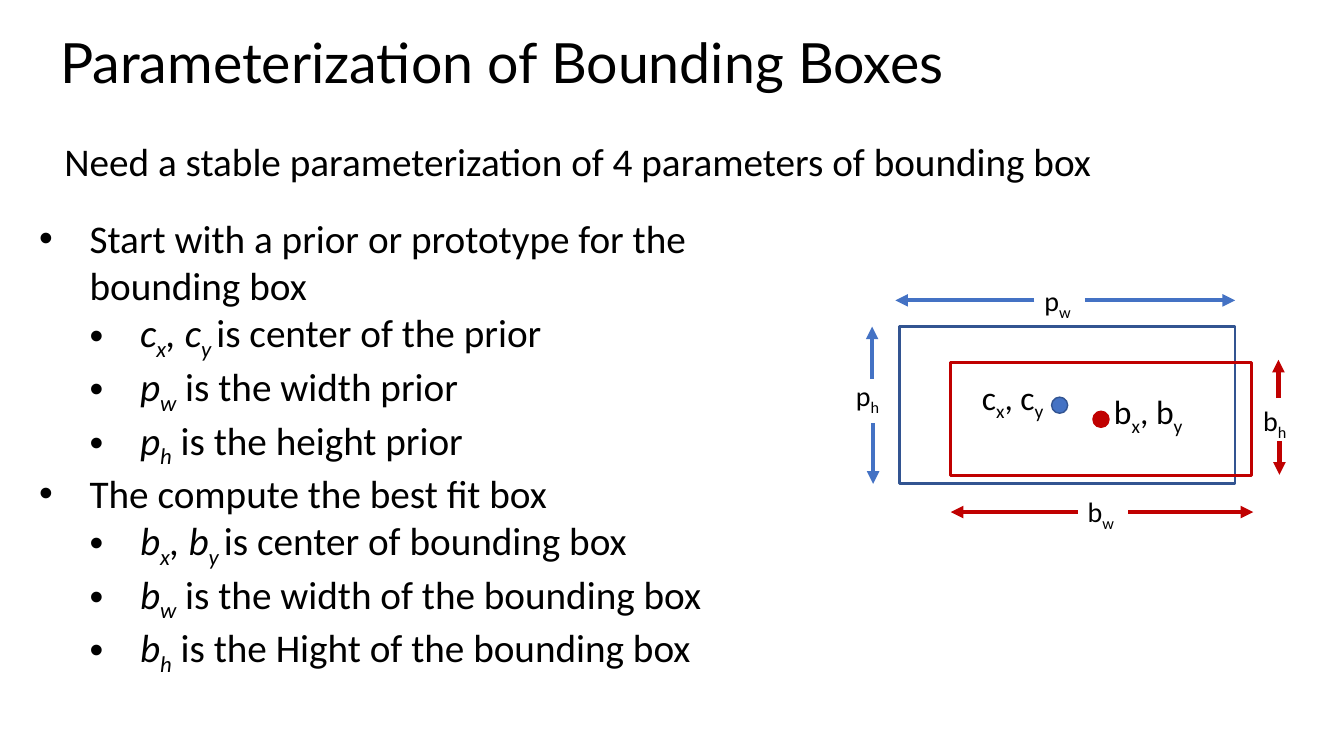
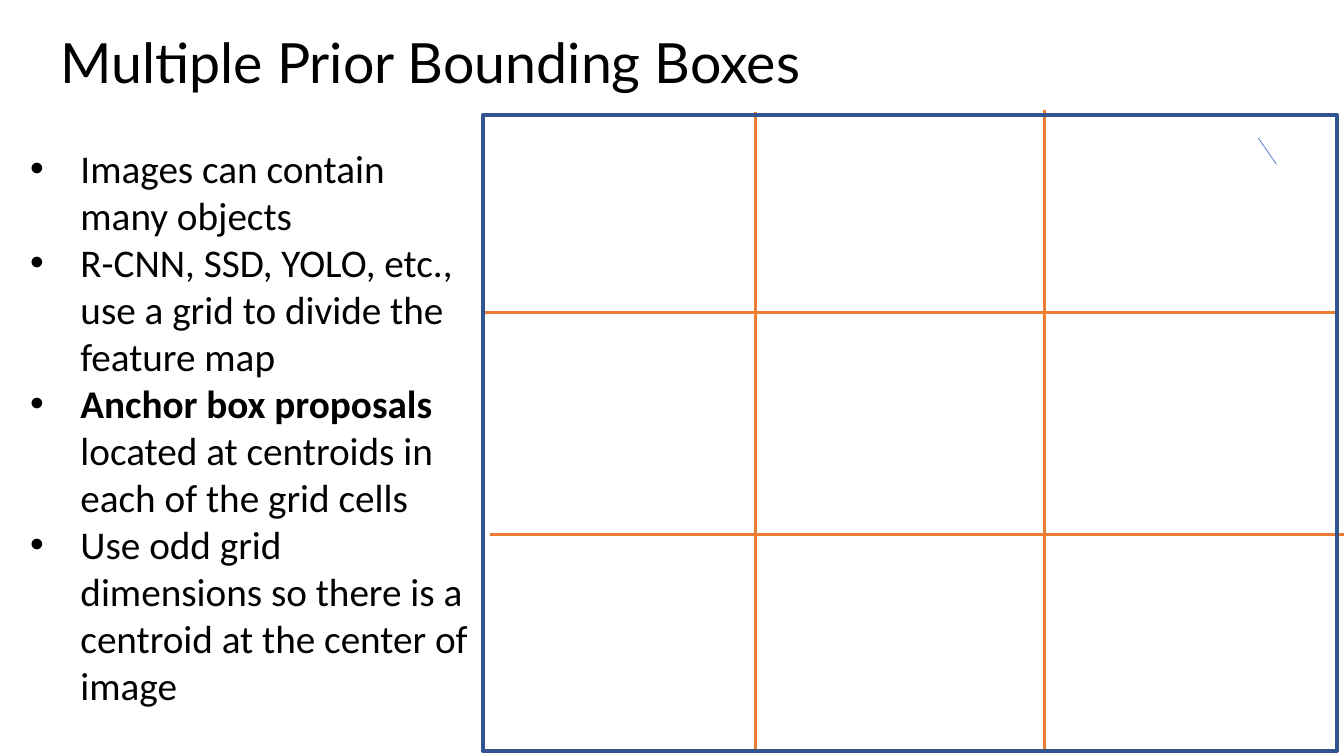
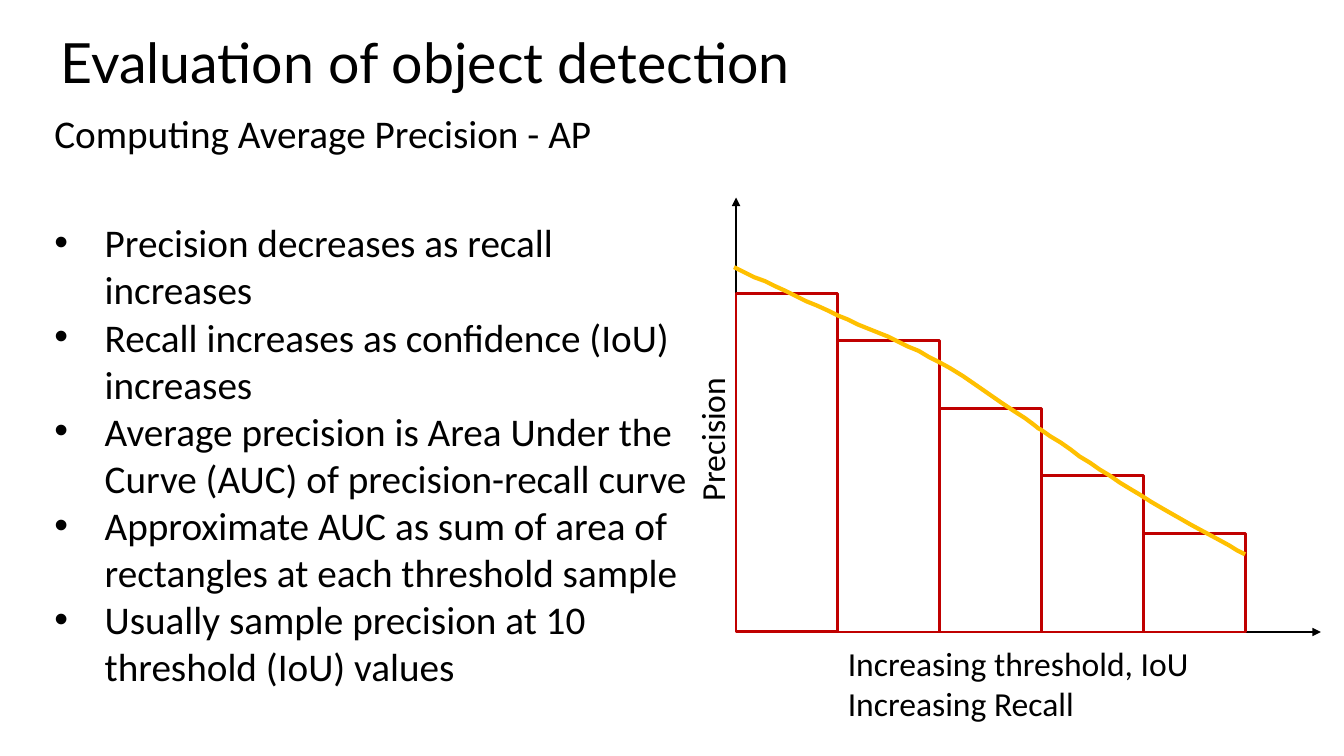
"""Build three slides on bounding boxes, anchor grids and average precision."""
from pptx import Presentation
from pptx import util as u
from pptx.dml.color import RGBColor
from pptx.enum import shapes, text
from pptx.oxml.ns import qn
from lxml import etree

PX = 9144
BLACK = RGBColor(0x00, 0x00, 0x00)
BLUE = RGBColor(0x44, 0x72, 0xC4)
NAVY = RGBColor(0x32, 0x54, 0x91)
RED = RGBColor(0xC0, 0x00, 0x00)
ORANGE = RGBColor(0xED, 0x7D, 0x31)
GOLD = RGBColor(0xFF, 0xC0, 0x00)
RECT = shapes.MSO_SHAPE.RECTANGLE
OVAL = shapes.MSO_SHAPE.OVAL
BODY, LABEL, SIZE_LABEL = 28, 24, 20

NEED = "Need a stable parameterization of 4 parameters of bounding box"
PARAMETERS = [
    (0, [("Start with a prior or prototype for the bounding box", "")]),
    (1, [("c~x~, c~y ~", "i"), ("is center of the prior", "")]),
    (1, [("p~w~", "i"), (" is the width prior", "")]),
    (1, [("p~h~", "i"), (" is the height prior", "")]),
    (0, [("The compute the best fit box", "")]),
    (1, [("b~x~, b~y ~", "i"), ("is center of bounding box", "")]),
    (1, [("b~w~", "i"), (" is the width of the bounding box", "")]),
    (1, [("b~h~", "i"), (" is the Hight of the bounding box", "")]),
]
BOXES = [
    (RECT, (892, 324, 333, 156), None, NAVY, 2),
    (OVAL, (1043, 394, 16, 16), BLUE, NAVY, 1),
    (RECT, (943, 360, 298, 112), None, RED, 2),
    (OVAL, (1084, 408, 16, 16), RED, RED, 1),
]
SYMBOLS = [
    ("c~x~, c~y~", (964, 369, 87, 50), LABEL),
    ("b~x~, b~y~", (1095, 383, 91, 50), LABEL),
    ("p~w~", (1026, 276, 50, 44), SIZE_LABEL),
    ("p~h~", (839, 371, 50, 44), SIZE_LABEL),
    ("b~w~", (1069, 486, 50, 44), SIZE_LABEL),
    ("b~h~", (1243, 395, 50, 44), SIZE_LABEL),
]
DIMENSIONS = [
    (BLUE, (1026, 298, 888, 298)), (BLUE, (1076, 298, 1225, 298)),
    (BLUE, (866, 420, 866, 480)), (BLUE, (865, 376, 865, 324)),
    (RED, (1069, 508, 943, 508)), (RED, (1119, 508, 1243, 508)),
    (RED, (1269, 438, 1269, 471)), (RED, (1268, 395, 1268, 357)),
]

ANCHORS = [
    (0, [("Images can contain many objects", "")]),
    (0, [("R-CNN, SSD, YOLO, etc., use a grid to divide the feature map", "")]),
    (0, [("Anchor box proposals ", "b"),
         ("located at centroids in each of the grid cells", "")]),
    (0, [("Use odd grid dimensions so there is a centroid at the center of image", "")]),
]
GRID_LINES = [(479, 310, 1327, 310), (486, 530, 1333, 530),
              (749, 745, 749, 111), (1036, 743, 1036, 109)]

PRECISION = [(0, [(line, "")]) for line in (
    "Precision decreases as recall increases",
    "Recall increases as confidence (IoU) increases",
    "Average precision is Area Under the Curve (AUC) of precision-recall curve",
    "Approximate AUC as sum of area of rectangles at each threshold sample",
    "Usually sample precision at 10 threshold (IoU) values",
)]
ORIGIN_X, ORIGIN_Y, BAR_WIDTH = 730, 627, 101
BAR_TOPS = [291, 338, 405, 472, 529]
CURVE_START = (728, 265)
CURVE_BENDS = [
    [(762, 281), (797, 297), (831, 313)],
    [(865, 328), (898, 340), (931, 359)],
    [(965, 378), (1032, 426), (1032, 426)],
    [(1065, 448), (1097, 471), (1131, 491)],
    [(1164, 512), (1235, 550), (1235, 550)],
]
BEND_STEPS = 10


def emu(lengths):
    return [length * PX for length in lengths]


def add_runs(paragraph, pieces, size, font="Calibri"):
    """Write pieces as runs, lowering the parts between tildes."""
    for words, style in pieces:
        for index, part in enumerate(words.split("~")):
            if not part:
                continue
            run = paragraph.add_run()
            run.text = part
            run.font.size = u.Pt(size)
            run.font.name = font
            run.font.color.rgb = BLACK
            if style:
                run.font.italic = "i" in style
                run.font.bold = "b" in style
            if index % 2:
                run.font._element.set("baseline", "-25000")


def add_text(slide, place, lines, size, font="Calibri", wrap=True):
    """Add a text box with one paragraph for each list of pieces."""
    box = slide.shapes.add_textbox(*emu(place))
    frame = box.text_frame
    frame.word_wrap = wrap
    for index, pieces in enumerate(lines):
        paragraph = frame.add_paragraph() if index else frame.paragraphs[0]
        add_runs(paragraph, pieces, size, font)
    return box


def add_bullets(slide, place, items):
    """Add a bulleted list with half-inch levels."""
    box = add_text(slide, place, [pieces for _, pieces in items], BODY)
    for (level, _), paragraph in zip(items, box.text_frame.paragraphs):
        paragraph.level = level
        properties = paragraph._p.get_or_add_pPr()
        properties.set("marL", str((level + 1) * 50 * PX))
        properties.set("indent", str(-50 * PX))
        etree.SubElement(properties, qn("a:buFont")).set("typeface", "Arial")
        etree.SubElement(properties, qn("a:buChar")).set("char", "•")


def add_line(slide, ends, color, width, arrow=False):
    """Add a straight connector, with an arrowhead at its end if asked."""
    line = slide.shapes.add_connector(shapes.MSO_CONNECTOR.STRAIGHT, *emu(ends))
    line.line.color.rgb = color
    line.line.width = u.Pt(width)
    properties = line._element.spPr
    if arrow:
        outline = properties.find(qn("a:ln"))
        etree.SubElement(outline, qn("a:tailEnd")).set("type", "triangle")
    etree.SubElement(properties, qn("a:effectLst"))


def paint(shape, fill, color, width):
    shape.shadow.inherit = False
    if fill is None:
        shape.fill.background()
    else:
        shape.fill.solid()
        shape.fill.fore_color.rgb = fill
    shape.line.color.rgb = color
    shape.line.width = u.Pt(width)


def add_figure(slide, kind, place, fill, color, width):
    paint(slide.shapes.add_shape(kind, *emu(place)), fill, color, width)


def add_title(slide, title):
    box = add_text(slide, (50, 36, 1260, 63), [[(title, "")]], 39.6, "Lato")
    box.text_frame.vertical_anchor = text.MSO_ANCHOR.MIDDLE
    box.text_frame.paragraphs[0].line_spacing = 0.8


def curve_points():
    """Sample the cubic bends of the precision curve."""
    points, start = [], CURVE_START
    for first, second, end in CURVE_BENDS:
        for step in range(1, BEND_STEPS + 1):
            t = step / BEND_STEPS
            s = 1 - t
            points.append(tuple(
                round(s**3 * a + 3 * s * s * t * b + 3 * s * t * t * c + t**3 * d, 2)
                for a, b, c, d in zip(start, first, second, end)))
        start = end
    return points


def build_parameters(slide):
    add_text(slide, (54, 131, 1209, 57), [[(NEED, "")]], BODY)
    add_bullets(slide, (29, 208, 759, 528), PARAMETERS)
    for box in BOXES:
        add_figure(slide, *box)
    for symbol, place, size in SYMBOLS:
        add_text(slide, place, [[(symbol, "")]], size)
    for color, ends in DIMENSIONS:
        add_line(slide, ends, color, 3, arrow=True)


def build_anchors(slide):
    add_line(slide, (1248, 137, 1266, 163), BLUE, 0.5)
    for ends in GRID_LINES:
        add_line(slide, ends, ORANGE, 2)
    add_bullets(slide, (20, 138, 454, 576), ANCHORS)
    add_figure(slide, RECT, (479, 114, 847, 631), None, NAVY, 3)


def build_precision(slide):
    add_text(slide, (44, 104, 1209, 57),
             [[("Computing Average Precision - AP", "")]], BODY)
    for end in ((ORIGIN_X, 196), (1310, ORIGIN_Y)):
        add_line(slide, (ORIGIN_X, ORIGIN_Y, *end), BLACK, 2, arrow=True)
    for index, top in enumerate(BAR_TOPS):
        place = (ORIGIN_X + index * BAR_WIDTH, top, BAR_WIDTH, ORIGIN_Y - top)
        add_figure(slide, RECT, place, None, RED, 2)
    curve = slide.shapes.build_freeform(*CURVE_START, scale=PX)
    curve.add_line_segments(curve_points(), close=False)
    paint(curve.convert_to_shape(), None, GOLD, 3)
    add_bullets(slide, (44, 212, 649, 481), PRECISION)
    add_text(slide, (831, 633, 361, 91),
             [[("Increasing threshold, IoU", "")], [("Increasing Recall", "")]],
             LABEL, wrap=False)
    axis_name = add_text(slide, (634, 410, 144, 50), [[("Precision", "")]],
                         LABEL, wrap=False)
    axis_name.rotation = 270


SLIDES = [
    ("Parameterization of Bounding Boxes", build_parameters),
    ("Multiple Prior Bounding Boxes", build_anchors),
    ("Evaluation of object detection", build_precision),
]


def main():
    deck = Presentation()
    deck.slide_width, deck.slide_height = emu((1333, 750))
    for title, build in SLIDES:
        slide = deck.slides.add_slide(deck.slide_layouts[6])
        add_title(slide, title)
        build(slide)
    deck.save("out.pptx")


if __name__ == "__main__":
    main()
